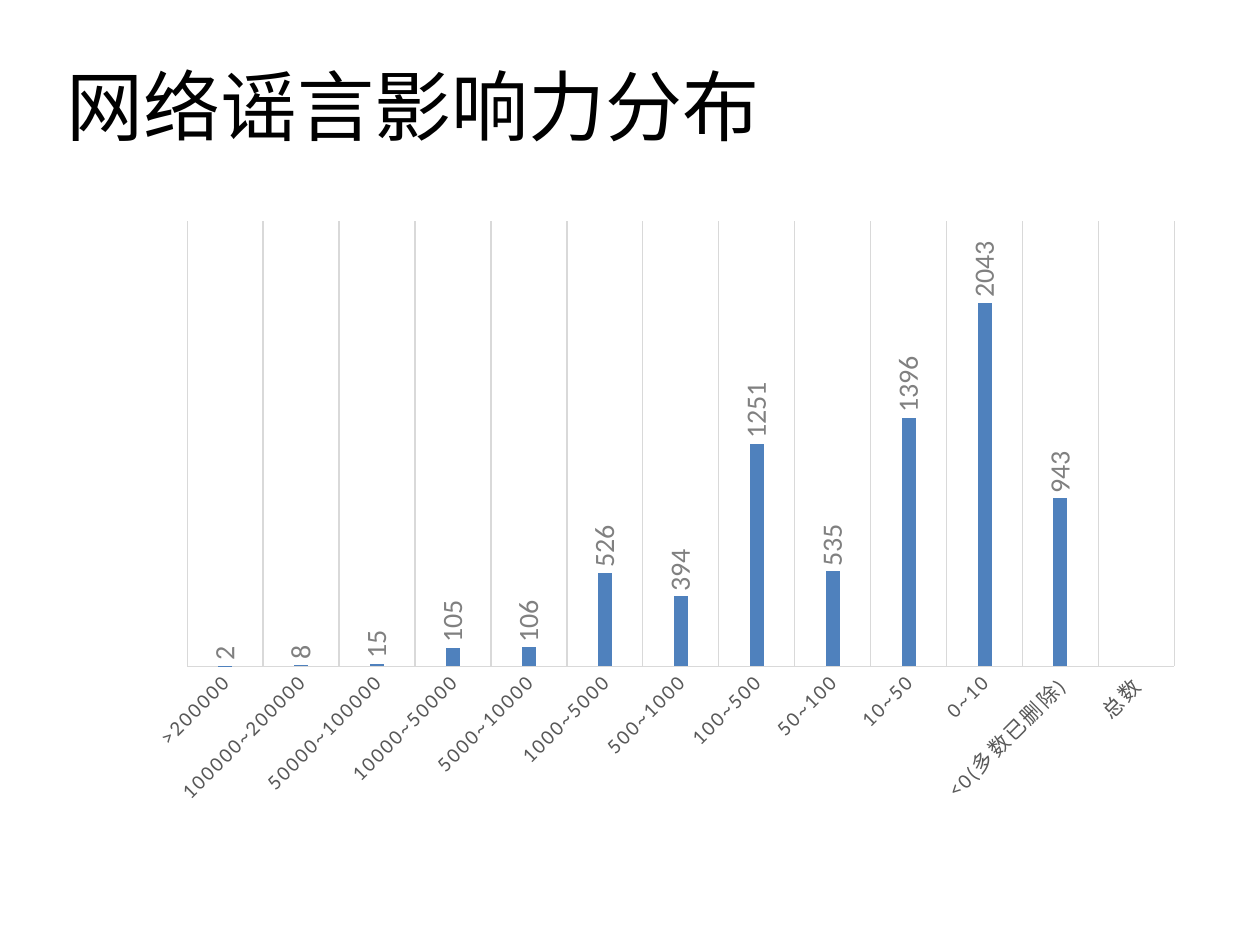
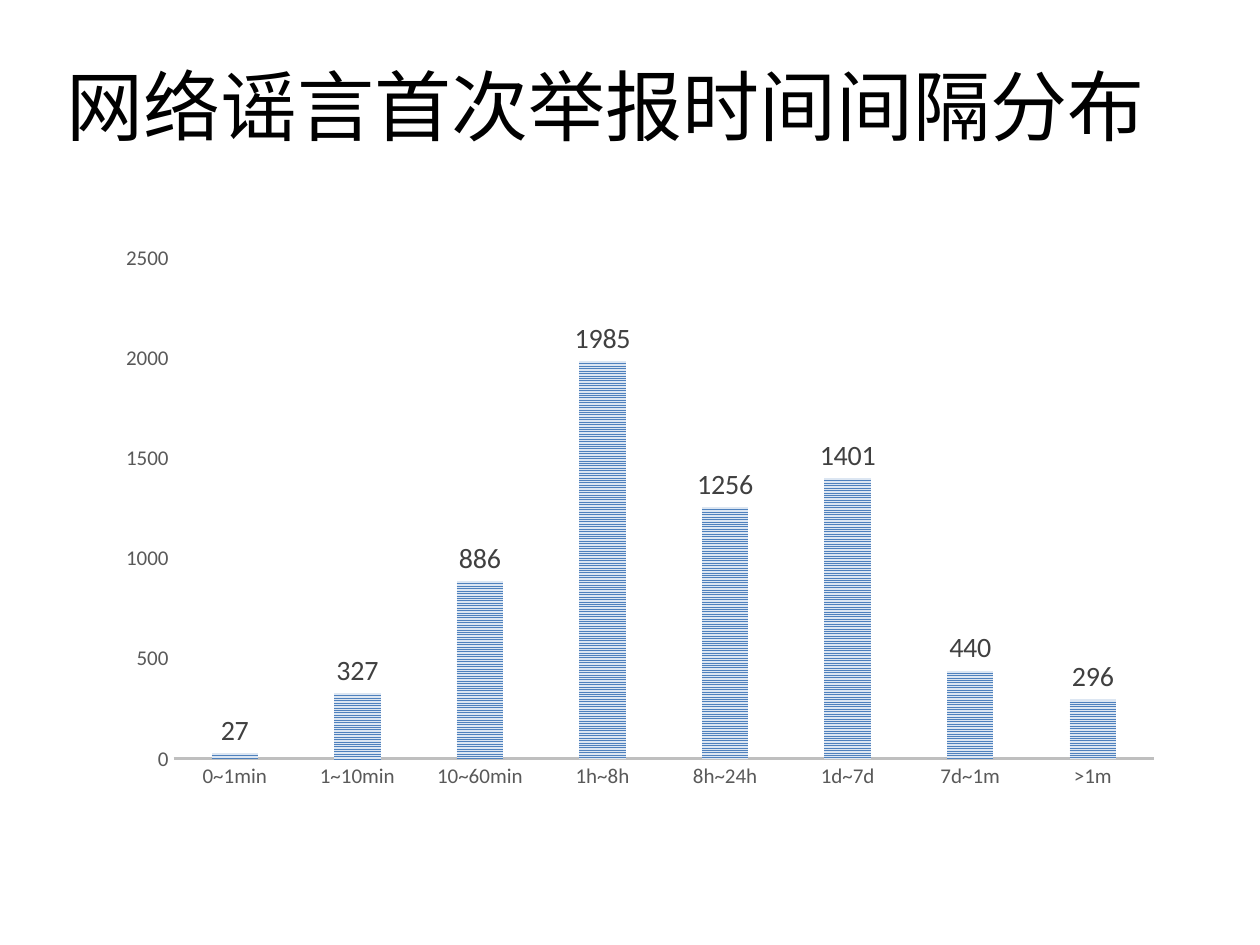
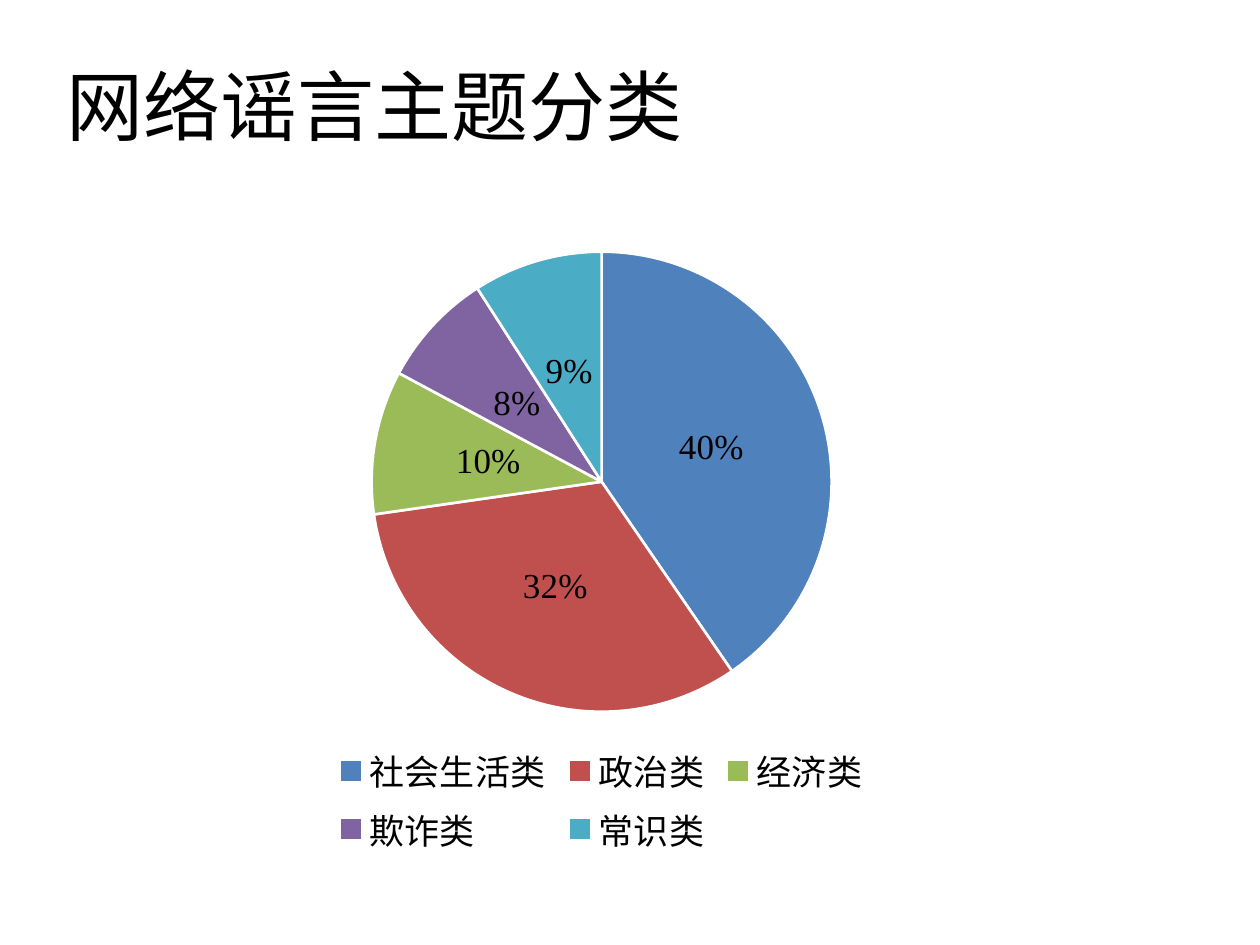
from pptx import Presentation
from pptx.chart.data import CategoryChartData
from pptx.dml.color import RGBColor
from pptx.enum.chart import XL_CHART_TYPE, XL_LABEL_POSITION, XL_LEGEND_POSITION, XL_TICK_MARK
from pptx.enum.dml import MSO_PATTERN
from pptx.enum.text import MSO_ANCHOR, PP_ALIGN
from pptx.util import Inches, Pt

COLUMN, PIE = XL_CHART_TYPE.COLUMN_CLUSTERED, XL_CHART_TYPE.PIE
OUTSIDE, CENTER = XL_LABEL_POSITION.OUTSIDE_END, XL_LABEL_POSITION.CENTER
BOTTOM = XL_LEGEND_POSITION.BOTTOM
NO_TICK = XL_TICK_MARK.NONE
STRIPES = MSO_PATTERN.NARROW_HORIZONTAL
MIDDLE, LEFT = MSO_ANCHOR.MIDDLE, PP_ALIGN.LEFT

SANS, SERIF = "Calibri", "Times New Roman"
COLORS = {
    "black": "000000", "white": "FFFFFF", "axis_text": "595959",
    "grid": "D9D9D9", "axis": "BFBFBF", "soft_label": "808080", "label": "404040",
    "blue": "4F81BD", "pale_blue": "DCE6F2", "red": "C0504D",
    "green": "9BBB59", "purple": "8064A2", "teal": "4BACC6",
}
TITLE_ONLY = 5
TITLE_BOX = (0.43, 0.21, 9.07, 1.25)

INFLUENCE = {
    ">200000": 2, "100000~200000": 8, "50000~100000": 15, "10000~50000": 105,
    "5000~10000": 106, "1000~5000": 526, "500~1000": 394, "100~500": 1251,
    "50~100": 535, "10~50": 1396, "0~10": 2043, "<0(多数已删除)": 943, "总数": None,
}
FIRST_REPORT = {
    "0~1min": 27, "1~10min": 327, "10~60min": 886, "1h~8h": 1985,
    "8h~24h": 1256, "1d~7d": 1401, "7d~1m": 440, ">1m": 296,
}
TOPICS = {"社会生活类": 40, "政治类": 32, "经济类": 10, "欺诈类": 8, "常识类": 9}
TOPIC_COLORS = ("blue", "red", "green", "purple", "teal")


def rgb(color):
    return RGBColor.from_string(COLORS[color])


def set_values(target, **values):
    for name, value in values.items():
        setattr(target, name, value)


def set_font(font, size, color="black", name=SANS):
    set_values(font, size=Pt(size), name=name)
    font.color.rgb = rgb(color)


def set_line(line, color, width):
    line.color.rgb = rgb(color)
    line.width = Pt(width)


def set_xml(chart, xpath, **attributes):
    for element in chart.element.xpath(xpath):
        for name, value in attributes.items():
            element.set(name, str(value))


class Deck:
    def __init__(self):
        self.prs = Presentation()
        set_values(self.prs, slide_width=Inches(10), slide_height=Inches(7.5))
        self.slide = None

    def add_slide(self, heading):
        self.slide = self.prs.slides.add_slide(self.prs.slide_layouts[TITLE_ONLY])
        title = self.slide.shapes.title
        for side, inches in zip(("left", "top", "width", "height"), TITLE_BOX):
            setattr(title, side, Inches(inches))
        frame = title.text_frame
        frame.text = heading
        frame.vertical_anchor = MIDDLE
        frame.paragraphs[0].alignment = LEFT
        set_font(frame.paragraphs[0].runs[0].font, 44, name=SERIF)

    def chart(self, kind, box, values, font=SANS):
        data = CategoryChartData()
        data.categories = list(values)
        data.add_series("Series 1", list(values.values()))
        chart = self.slide.shapes.add_chart(kind, *map(Inches, box), data).chart
        set_values(chart, has_title=False, has_legend=False)
        set_font(chart.font, 10, name=font)
        return chart

    def labels(self, series, size, color, position, font=SANS, **shown):
        labels = series.data_labels
        set_font(labels.font, size, color, font)
        set_values(labels, position=position, **shown)

    def columns(self, box, values, gap, overlap, label_color, axis_line):
        chart = self.chart(COLUMN, box, values)
        plot = chart.plots[0]
        set_values(plot, gap_width=gap, overlap=overlap, vary_by_categories=False)
        for axis in (chart.category_axis, chart.value_axis):
            set_values(axis, major_tick_mark=NO_TICK, minor_tick_mark=NO_TICK,
                       has_major_gridlines=False)
            set_font(axis.tick_labels.font, 12, "axis_text")
        set_values(chart.value_axis, minimum_scale=0, maximum_scale=2500, major_unit=500)
        chart.value_axis.format.line.fill.background()
        set_line(chart.category_axis.format.line, *axis_line)
        series = plot.series[0]
        series.invert_if_negative = False
        self.labels(series, 16, label_color, OUTSIDE, show_value=True)
        return chart

    def pie(self, box, values, colors):
        chart = self.chart(PIE, box, values, SERIF)
        chart.plots[0].vary_by_categories = True
        series = chart.plots[0].series[0]
        for index, color in enumerate(colors):
            slice_format = series.points[index].format
            slice_format.fill.solid()
            slice_format.fill.fore_color.rgb = rgb(color)
            set_line(slice_format.line, "white", 1.5)
        self.labels(series, 20, "black", CENTER, SERIF, show_percentage=True,
                    show_value=False, number_format="0%", number_format_is_linked=False)
        chart.has_legend = True
        set_values(chart.legend, position=BOTTOM, include_in_layout=False)
        set_font(chart.legend.font, 20, name=SERIF)


def influence_slide(deck):
    deck.add_slide("网络谣言影响力分布")
    chart = deck.columns((1.06, 1.66, 8.43, 4.82), INFLUENCE,
                         444, -90, "soft_label", ("grid", 0.75))
    chart.value_axis.visible = False
    set_line(chart.category_axis.major_gridlines.format.line, "grid", 0.75)
    fill = chart.plots[0].series[0].format.fill
    fill.solid()
    fill.fore_color.rgb = rgb("blue")
    set_xml(chart, ".//c:dLbls/c:txPr/a:bodyPr", rot=-5400000, vert="horz")
    set_xml(chart, ".//c:catAx/c:txPr/a:bodyPr", rot=-2700000, vert="horz")
    set_xml(chart, ".//c:catAx/c:txPr//a:defRPr", spc=120)


def first_report_slide(deck):
    deck.add_slide("网络谣言首次举报时间间隔分布")
    chart = deck.columns((0.83, 1.86, 8.5, 4.49), FIRST_REPORT,
                         164, -22, "label", ("axis", 1.5))
    fill = chart.plots[0].series[0].format.fill
    fill.patterned()
    fill.pattern = STRIPES
    fill.fore_color.rgb = rgb("blue")
    fill.back_color.rgb = rgb("pale_blue")


def topics_slide(deck):
    deck.add_slide("网络谣言主题分类")
    deck.pie((0.43, 1.86, 8.69, 4.98), TOPICS, TOPIC_COLORS)


def main():
    deck = Deck()
    influence_slide(deck)
    first_report_slide(deck)
    topics_slide(deck)
    deck.prs.save("out.pptx")


if __name__ == "__main__":
    main()
